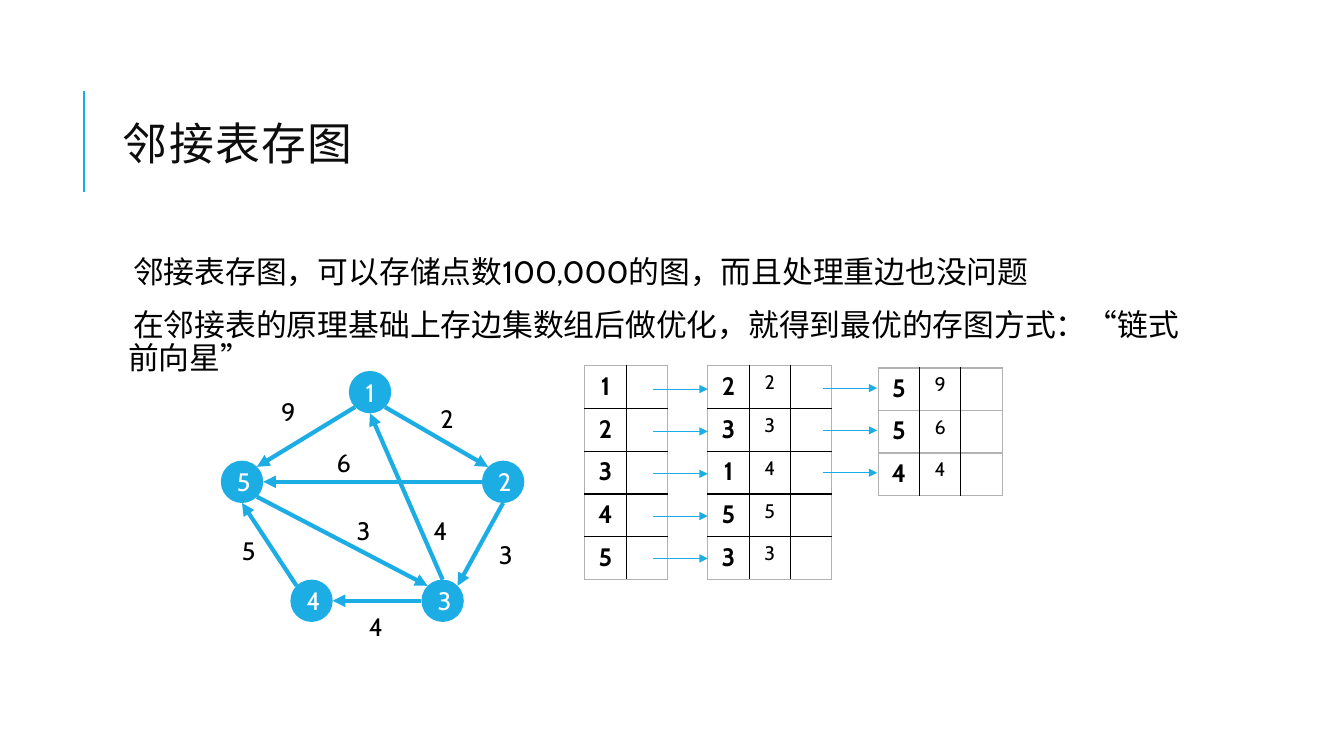
from lxml.etree import SubElement
from pptx import Presentation
from pptx.dml.color import RGBColor
from pptx.enum.shapes import MSO_CONNECTOR as CONN, MSO_SHAPE as SHAPE
from pptx.enum.text import MSO_ANCHOR as ANCHOR, MSO_AUTO_SIZE as AUTO, PP_ALIGN as ALIGN
from pptx.oxml.ns import qn
from pptx.util import Inches, Pt

BLUE, BLACK, WHITE, GRAY, INK = "1CADE4", "000000", "FFFFFF", "B2B2B2", "0D0D0D"
FONT = "Cabin"

TITLE = "邻接表存图"
BODY = [
    "邻接表存图，可以存储点数100,000的图，而且处理重边也没问题",
    "在邻接表的原理基础上存边集数组后做优化，就得到最优的存图方式：“链式前向星”",
]
NODES = {
    "1": (3.67, 3.89),
    "5": (2.4, 4.78),
    "2": (4.99, 4.78),
    "4": (3.09, 5.96),
    "3": (4.39, 5.96),
}
EDGES = [
    ("1", "SW", "5", "NE"),
    ("1", "SE", "2", "NW"),
    ("2", "W", "5", "E"),
    ("4", "NW", "5", "S"),
    ("2", "S", "3", "NE"),
    ("3", "W", "4", "E"),
    ("5", "SE", "3", "NW"),
    ("3", "N", "1", "S"),
]
WEIGHTS = [
    ("2", 4.27, 3.95), ("9", 2.69, 3.88), ("6", 3.24, 4.39), ("3", 4.85, 5.3),
    ("4", 4.2, 5.06), ("3", 3.44, 5.06), ("4", 3.56, 6.02), ("5", 2.3, 5.26),
]
HEADS = [("1", ""), ("2", ""), ("3", ""), ("4", ""), ("5", "")]
FIRST_LINKS = [("2", "2", ""), ("3", "3", ""), ("1", "4", ""), ("5", "5", ""), ("3", "3", "")]
SECOND_LINKS = [("5", "9", ""), ("5", "6", ""), ("4", "4", "")]

RADIUS = 0.21
DIAGONAL = RADIUS * 0.5 ** 0.5
COL_W = 0.41
ROW_H = 2.12 / 5
STEP = 0.42


def rgb(value):
    return RGBColor.from_string(value)


def add_run(p, text, size, color=BLACK, font=FONT, bold=False):
    r = p.add_run()
    r.text = text
    r.font.size = Pt(size)
    r.font.name = font
    r.font.bold = bold
    r.font.color.rgb = rgb(color)
    return r


def add_box(slide, x, y, w, h, wrap=True):
    tf = slide.shapes.add_textbox(Inches(x), Inches(y), Inches(w), Inches(h)).text_frame
    tf.word_wrap = wrap
    return tf


def add_line(slide, start, end, width, arrow=True):
    line = slide.shapes.add_connector(CONN.STRAIGHT, *(Inches(v) for v in (*start, *end)))
    line.line.color.rgb = rgb(BLUE)
    line.line.width = Pt(width)
    if arrow:
        SubElement(line.line._get_or_add_ln(), qn("a:tailEnd"), type="triangle")
    SubElement(line._element.spPr, qn("a:effectLst"))


def add_border(cell, side, color):
    ln = SubElement(cell._tc.get_or_add_tcPr(), qn(f"a:{side}"), w=str(Pt(1)))
    fill = SubElement(ln, qn("a:solidFill"))
    SubElement(fill, qn("a:srgbClr"), val=color)


def add_grid(slide, x, y, rows):
    n_rows, n_cols = len(rows), len(rows[0])
    table = slide.shapes.add_table(
        n_rows, n_cols, Inches(x), Inches(y), Inches(COL_W * n_cols), Inches(ROW_H * n_rows)
    ).table
    table.first_row = table.horz_banding = False
    for i, row in enumerate(rows):
        for j, text in enumerate(row):
            cell = table.cell(i, j)
            outer = {"lnL": j == 0, "lnR": j == n_cols - 1, "lnT": i == 0, "lnB": i == n_rows - 1}
            for side, is_outer in outer.items():
                add_border(cell, side, GRAY if is_outer else BLACK)
            cell.fill.background()
            if text:
                p = cell.text_frame.paragraphs[0]
                p.alignment = ALIGN.CENTER
                add_run(p, text, 14 if j else 18, bold=j == 0)


def add_heading(slide):
    add_line(slide, (0.83, 1.9), (0.83, 0.9), 1.5, arrow=False)
    tf = add_box(slide, 1.12, 0.64, 10.63, 1.64)
    tf.vertical_anchor = ANCHOR.MIDDLE
    p = tf.paragraphs[0]
    p.line_spacing = 0.8
    r = add_run(p, TITLE, 32, INK, "Calibri")
    r.font._element.set("spc", "100")


def add_body(slide):
    tf = add_box(slide, 1.12, 2.5, 10.63, 4.4)
    tf.margin_left = tf.margin_right = tf.margin_top = tf.margin_bottom = Inches(0.05)
    for i, text in enumerate(BODY):
        p = tf.add_paragraph() if i else tf.paragraphs[0]
        p.line_spacing = 0.9
        p.space_before = Pt(12 if i else 0)
        p.space_after = Pt(2)
        pPr = p._p.get_or_add_pPr()
        pPr.set("marL", str(Inches(0.1)))
        pPr.set("indent", str(-Inches(0.1)))
        SubElement(SubElement(pPr, qn("a:buClr")), qn("a:srgbClr"), val=BLUE)
        SubElement(pPr, qn("a:buChar"), char=" ")
        add_run(p, text, 22)


def rim_point(node, side):
    x, y = NODES[node]
    reach = DIAGONAL if len(side) == 2 else RADIUS
    return (x + reach * (("E" in side) - ("W" in side)),
            y + reach * (("S" in side) - ("N" in side)))


def add_graph(slide):
    for name, (x, y) in NODES.items():
        sp = slide.shapes.add_shape(
            SHAPE.OVAL, Inches(x - RADIUS), Inches(y - RADIUS), Inches(2 * RADIUS), Inches(2 * RADIUS)
        )
        sp.shadow.inherit = False
        sp.fill.solid()
        sp.fill.fore_color.rgb = rgb(BLUE)
        sp.line.fill.background()
        sp.text_frame.vertical_anchor = ANCHOR.MIDDLE
        p = sp.text_frame.paragraphs[0]
        p.alignment = ALIGN.CENTER
        add_run(p, name, 18, WHITE)
    for source, leave, target, enter in EDGES:
        add_line(slide, rim_point(source, leave), rim_point(target, enter), 3)
    for weight, x, y in WEIGHTS:
        tf = add_box(slide, x, y, 0.34, 0.4, wrap=False)
        tf.auto_size = AUTO.SHAPE_TO_FIT_TEXT
        add_run(tf.paragraphs[0], weight, 18)


def add_lists(slide):
    add_grid(slide, 5.8, 3.63, HEADS)
    add_grid(slide, 7.02, 3.63, FIRST_LINKS)
    for i, row in enumerate(SECOND_LINKS):
        add_grid(slide, 8.71, 3.65 + STEP * i, [row])
    for x, y, links in ((6.48, 3.86, FIRST_LINKS), (8.16, 3.85, SECOND_LINKS)):
        for i in range(len(links)):
            add_line(slide, (x, y + STEP * i), (x + 0.54, y + STEP * i), 0.75)


def main():
    prs = Presentation()
    prs.slide_width, prs.slide_height = Inches(13.33), Inches(7.5)
    slide = prs.slides.add_slide(prs.slide_layouts[6])
    add_heading(slide)
    add_body(slide)
    add_graph(slide)
    add_lists(slide)
    prs.save("out.pptx")


if __name__ == "__main__":
    main()
